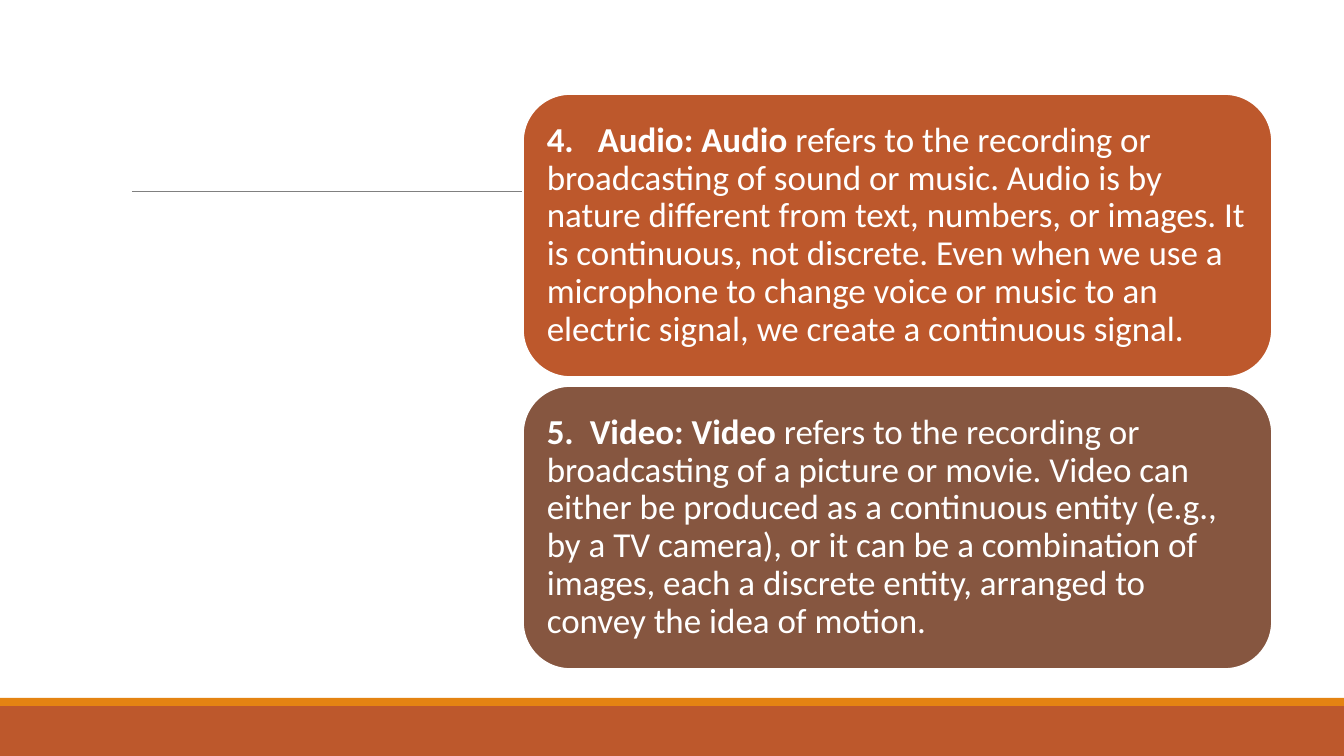
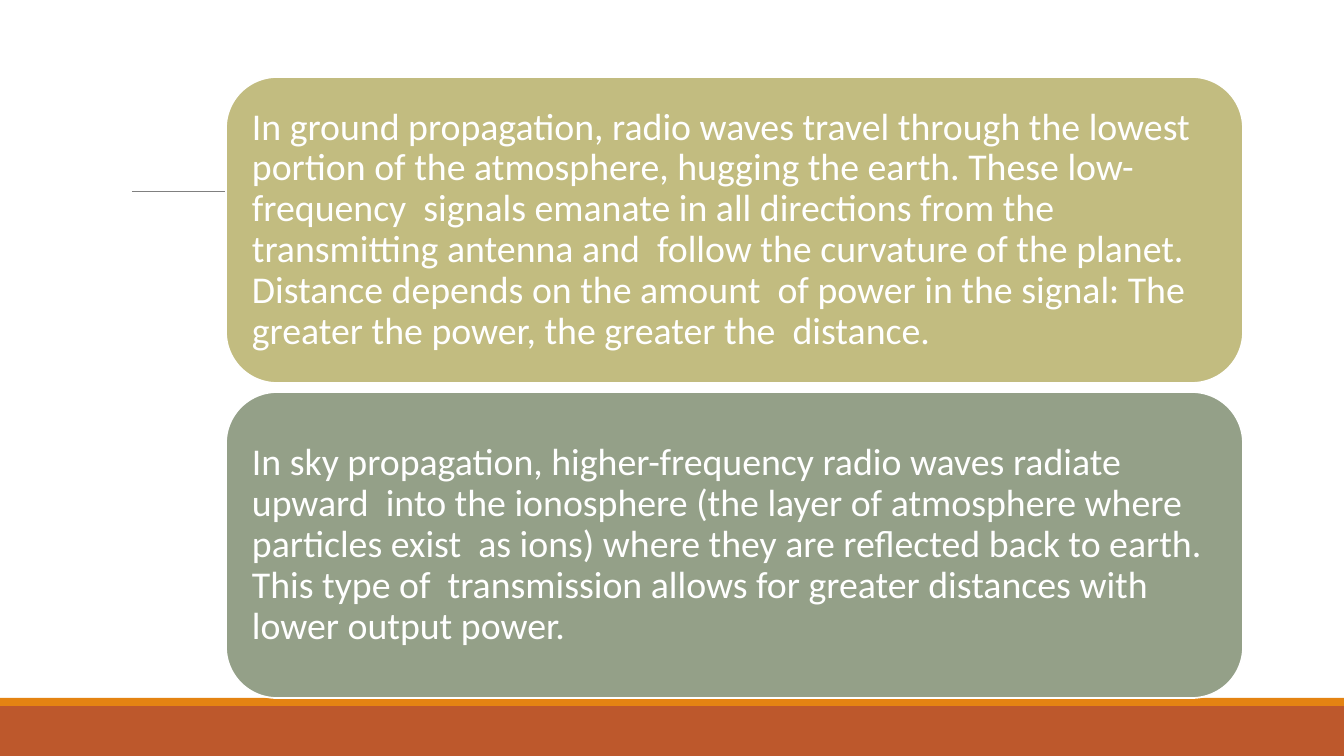
"""Build two slides of stacked text cards on data types and radio propagation."""
from lxml import etree
from pptx import Presentation
from pptx import util as u
from pptx.dml.color import RGBColor
from pptx.enum import shapes, text
from pptx.oxml.ns import qn

SLIDE_W, SLIDE_H = 1344, 756
SCALE = 12192000 / SLIDE_W
CARD_GAP = 9
COLORS = {
    "white": "FFFFFF",
    "rust": "BD582C",
    "orange": "E48312",
    "gray": "808080",
    "brown": "865640",
    "khaki": "C2BC80",
    "sage": "94A088",
}
PARAGRAPH_FORMAT = {"alignment": text.PP_ALIGN.LEFT, "line_spacing": 0.9}

DATA_TYPES = {
    "box": (523, 94, 749, 283),
    "inset": 10,
    "size": 25,
    "cards": [
        ("rust", 51, "4.\tAudio: Audio ",
         "refers to the recording or broadcasting of sound or music. Audio is by "
         "nature different from text, numbers, or images. It is continuous, not "
         "discrete. Even when we use a microphone to change voice or music to an "
         "electric signal, we create a continuous signal."),
        ("brown", 43, "5.\tVideo: Video ",
         "refers to the recording or broadcasting of a picture or movie. Video can "
         "either be produced as a continuous entity (e.g., by a TV camera), or it "
         "can be a combination of images, each a discrete entity, arranged to "
         "convey the idea of motion."),
    ],
}
PROPAGATION = {
    "box": (226, 77, 1017, 306),
    "inset": 11,
    "size": 27,
    "cards": [
        ("khaki", None, "",
         "In ground propagation, radio waves travel through the lowest  portion of "
         "the atmosphere, hugging the earth. These low-frequency  signals emanate "
         "in all directions from the transmitting antenna and  follow the curvature "
         "of the planet. Distance depends on the amount  of power in the signal: "
         "The greater the power, the greater the  distance."),
        ("sage", None, "",
         "In sky propagation, higher-frequency radio waves radiate upward  into the "
         "ionosphere (the layer of atmosphere where particles exist  as ions) where "
         "they are reflected back to earth. This type of  transmission allows for "
         "greater distances with lower output power."),
    ],
}


def px(length):
    return u.Emu(round(length * SCALE))


def rgb(name):
    return RGBColor.from_string(COLORS[name])


def set_attributes(target, values):
    for name, value in values.items():
        setattr(target, name, value)


def add_block(slide, kind, box, fill):
    block = slide.shapes.add_shape(kind, *map(px, box))
    block.shadow.inherit = False
    block.fill.solid()
    block.fill.fore_color.rgb = rgb(fill)
    block.line.fill.background()
    return block


def add_rule(slide, left, right, y):
    rule = slide.shapes.add_connector(
        shapes.MSO_CONNECTOR.STRAIGHT, px(left), px(y), px(right), px(y))
    rule.line.color.rgb = rgb("gray")
    rule.line.width = u.Pt(0.5)
    etree.SubElement(rule._element.spPr, qn("a:effectLst"))


def add_frame(slide):
    rectangle = shapes.MSO_SHAPE.RECTANGLE
    add_block(slide, rectangle, (0, 706, SLIDE_W, 50), "rust")
    add_block(slide, rectangle, (0, 698, SLIDE_W, 8), "orange")
    add_rule(slide, 132, 1231, 191)


def add_tab_stop(paragraph, position):
    tabs = etree.SubElement(paragraph._p.get_or_add_pPr(), qn("a:tabLst"))
    etree.SubElement(tabs, qn("a:tab"), pos=str(px(position)), algn="l")


def add_run(paragraph, wording, size, bold):
    run = paragraph.add_run()
    run.text = wording
    set_attributes(run.font, {"name": "Calibri", "size": u.Pt(size), "bold": bold})
    run.font.color.rgb = rgb("white")


def add_card(slide, box, inset, size, card):
    fill, tab, heading, body = card
    block = add_block(slide, shapes.MSO_SHAPE.ROUNDED_RECTANGLE, box, fill)
    block.line.color.rgb = rgb("white")
    block.line.width = u.Pt(1.25)
    frame = block.text_frame
    margins = {f"margin_{side}": px(inset)
               for side in ("left", "top", "right", "bottom")}
    set_attributes(frame, {
        "word_wrap": True, "vertical_anchor": text.MSO_ANCHOR.MIDDLE, **margins})
    paragraph = frame.paragraphs[0]
    set_attributes(paragraph, PARAGRAPH_FORMAT)
    if heading:
        add_tab_stop(paragraph, tab)
        add_run(paragraph, heading, size, True)
    add_run(paragraph, body, size, False)


def add_card_slide(deck, content):
    slide = deck.slides.add_slide(deck.slide_layouts[6])
    add_frame(slide)
    left, top, width, height = content["box"]
    for row, card in enumerate(content["cards"]):
        box = (left, top + row * (height + CARD_GAP), width, height)
        add_card(slide, box, content["inset"], content["size"], card)


def main():
    deck = Presentation()
    set_attributes(deck, {"slide_width": px(SLIDE_W), "slide_height": px(SLIDE_H)})
    for content in (DATA_TYPES, PROPAGATION):
        add_card_slide(deck, content)
    deck.save("out.pptx")


if __name__ == "__main__":
    main()
